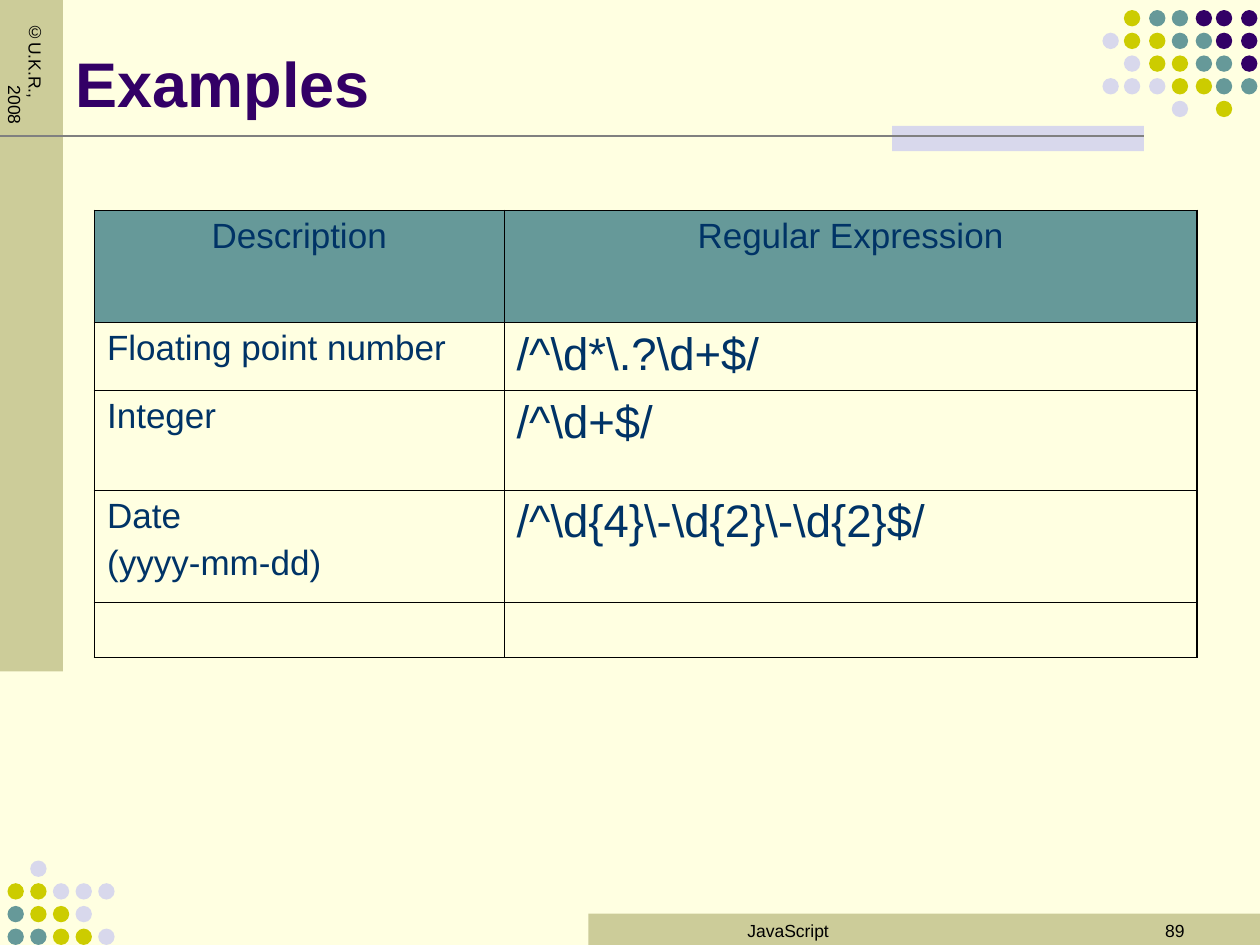
from dataclasses import dataclass

from lxml import etree
from pptx import Presentation
from pptx.dml.color import RGBColor
from pptx.enum.shapes import MSO_CONNECTOR, MSO_SHAPE
from pptx.enum.text import MSO_ANCHOR, PP_ALIGN
from pptx.oxml.ns import qn
from pptx.util import Emu, Pt

LEFT, CENTER, RIGHT = PP_ALIGN.LEFT, PP_ALIGN.CENTER, PP_ALIGN.RIGHT
TOP, BOTTOM = MSO_ANCHOR.TOP, MSO_ANCHOR.BOTTOM
RECTANGLE, ELLIPSE = MSO_SHAPE.RECTANGLE, MSO_SHAPE.OVAL
STRAIGHT = MSO_CONNECTOR.STRAIGHT
TITLE_ONLY = 5
EMU_PER_PX = 9144


@dataclass(frozen=True)
class Theme:
    font: str = "Arial"
    background: str = "FFFFE1"
    band: str = "CCCC99"
    purple: str = "330066"
    teal: str = "669999"
    yellow: str = "CCCC00"
    lavender: str = "D8D8EC"
    rule: str = "808080"
    ink: str = "000000"
    table_text: str = "003366"
    title_size: int = 36
    pattern_size: int = 26
    table_size: int = 20
    small_size: int = 10
    rule_width: float = 1.5
    outer_border: float = 1.08
    inner_border: float = 0.45


THEME = Theme()
DOT_COLORS = {"P": THEME.purple, "T": THEME.teal, "Y": THEME.yellow, "L": THEME.lavender}
DOT_SIZE = 13
TOP_DOTS = [".YTTPPP", "LYYTTPP", ".LYYTTP", "LLLYYTT", "...L.Y."]
TOP_DOT_COLUMNS = [875, 892, 912, 930, 949, 965, 985]
BOTTOM_DOTS = [".L...", "YYLLL", "TYYL.", "TTYYL"]
BOTTOM_DOT_COLUMNS = range(6, 80, 18)
DOT_STEP = 18

COLUMN_WIDTHS = [325, 550]
ROW_HEIGHTS = [89, 54, 79, 89, 44]
EXAMPLES = [
    ("Description", "Regular Expression"),
    ("Floating point number", r"/^\d*\.?\d+$/"),
    ("Integer", r"/^\d+$/"),
    ("Date\n(yyyy-mm-dd)", r"/^\d{4}\-\d{2}\-\d{2}$/"),
    ("", ""),
]


def px(length):
    return Emu(length * EMU_PER_PX)


def write_text(frame, text, size, color, bold=False, align=LEFT, space_before=0):
    for index, line in enumerate(text.split("\n")):
        para = frame.paragraphs[0] if index == 0 else frame.add_paragraph()
        para.alignment = align
        para.space_before = Pt(space_before if index else 0)
        para.font.size = Pt(size)
        if line:
            span = para.add_run()
            span.text = line
            span.font.name = THEME.font
            span.font.size = Pt(size)
            span.font.bold = bold
            span.font.color.rgb = RGBColor.from_string(color)


class SlideBuilder:
    def __init__(self, deck, theme):
        self.theme = theme
        self.slide = deck.slides.add_slide(deck.slide_layouts[TITLE_ONLY])
        fill = self.slide.background.fill
        fill.solid()
        fill.fore_color.rgb = RGBColor.from_string(theme.background)

    def title(self, text, left, top, width, height):
        box = self.slide.shapes.title
        box.left, box.top, box.width, box.height = map(px, (left, top, width, height))
        box.text_frame.vertical_anchor = BOTTOM
        write_text(box.text_frame, text, self.theme.title_size, self.theme.purple, bold=True)

    def shape(self, kind, color, left, top, width, height):
        shape = self.slide.shapes.add_shape(kind, *map(px, (left, top, width, height)))
        shape.shadow.inherit = False
        shape.fill.solid()
        shape.fill.fore_color.rgb = RGBColor.from_string(color)
        shape.line.fill.background()

    def dots(self, pattern, columns, top):
        for row, marks in enumerate(pattern):
            for left, mark in zip(columns, marks):
                if mark in DOT_COLORS:
                    self.shape(ELLIPSE, DOT_COLORS[mark], left, top + row * DOT_STEP,
                               DOT_SIZE, DOT_SIZE)

    def line(self, left, top, right, bottom):
        line = self.slide.shapes.add_connector(STRAIGHT, *map(px, (left, top, right, bottom)))
        line.line.color.rgb = RGBColor.from_string(self.theme.rule)
        line.line.width = Pt(self.theme.rule_width)
        etree.SubElement(line._element.spPr, qn("a:effectLst"))

    def text(self, text, left, top, width, height, align=LEFT):
        box = self.slide.shapes.add_textbox(*map(px, (left, top, width, height)))
        box.text_frame.word_wrap = True
        write_text(box.text_frame, text, self.theme.small_size, self.theme.ink, align=align)
        return box.text_frame

    def vertical_text(self, text, left, top, width, height, indent):
        frame = self.text(text, left, top, width, height)
        frame.margin_left = frame.margin_right = px(5)
        frame.margin_top = frame.margin_bottom = px(10)
        frame._txBody.bodyPr.set("vert", "eaVert")
        properties = frame.paragraphs[0]._p.get_or_add_pPr()
        properties.set("marL", str(px(indent)))
        properties.set("indent", str(px(-indent)))

    def border(self, cell, side, width):
        properties = cell._tc.get_or_add_tcPr()
        edge = etree.SubElement(properties, qn(f"a:ln{side}"), w=str(Pt(width)))
        fill = etree.SubElement(edge, qn("a:solidFill"))
        etree.SubElement(fill, qn("a:srgbClr"), val=self.theme.ink)

    def table(self, rows, left, top, widths, heights):
        frame = self.slide.shapes.add_table(
            len(rows), len(widths), *map(px, (left, top, sum(widths), sum(heights))))
        table = frame.table
        table.first_row = table.horz_banding = False
        for column, width in zip(table.columns, widths):
            column.width = px(width)
        for row, height in zip(table.rows, heights):
            row.height = px(height)
        last_row, last_column = len(rows) - 1, len(widths) - 1
        for r, texts in enumerate(rows):
            for c, text in enumerate(texts):
                cell = table.cell(r, c)
                outer = {"L": c == 0, "R": c == last_column, "T": r == 0, "B": r == last_row}
                for side, is_outer in outer.items():
                    self.border(cell, side, self.theme.outer_border if is_outer
                                else self.theme.inner_border)
                self.fill_cell(cell, text, header=r == 0, pattern=r > 0 and c == 1)

    def fill_cell(self, cell, text, header, pattern):
        cell.vertical_anchor = TOP
        if header:
            cell.fill.solid()
            cell.fill.fore_color.rgb = RGBColor.from_string(self.theme.teal)
        else:
            cell.fill.background()
        size = self.theme.pattern_size if pattern and text else self.theme.table_size
        write_text(cell.text_frame, text, size, self.theme.table_text,
                   align=CENTER if header else LEFT, space_before=5)


def main():
    deck = Presentation()
    deck.slide_width, deck.slide_height = px(1000), px(750)
    slide = SlideBuilder(deck, THEME)
    slide.shape(RECTANGLE, THEME.band, 467, 725, 533, 25)
    slide.dots(TOP_DOTS, TOP_DOT_COLUMNS, 8)
    slide.shape(RECTANGLE, THEME.band, 0, 0, 50, 533)
    slide.shape(RECTANGLE, THEME.lavender, 708, 100, 200, 20)
    slide.line(0, 108, 908, 108)
    slide.vertical_text("©U.K.R., 2008", 25, 8, 17, 108, indent=50)
    slide.dots(BOTTOM_DOTS, BOTTOM_DOT_COLUMNS, 683)
    slide.text("JavaScript", 467, 725, 317, 50, align=CENTER)
    slide.text("89", 717, 725, 233, 50, align=RIGHT)
    slide.title("Examples", 50, 13, 825, 87)
    slide.table(EXAMPLES, 75, 167, COLUMN_WIDTHS, ROW_HEIGHTS)
    deck.save("out.pptx")


if __name__ == "__main__":
    main()
